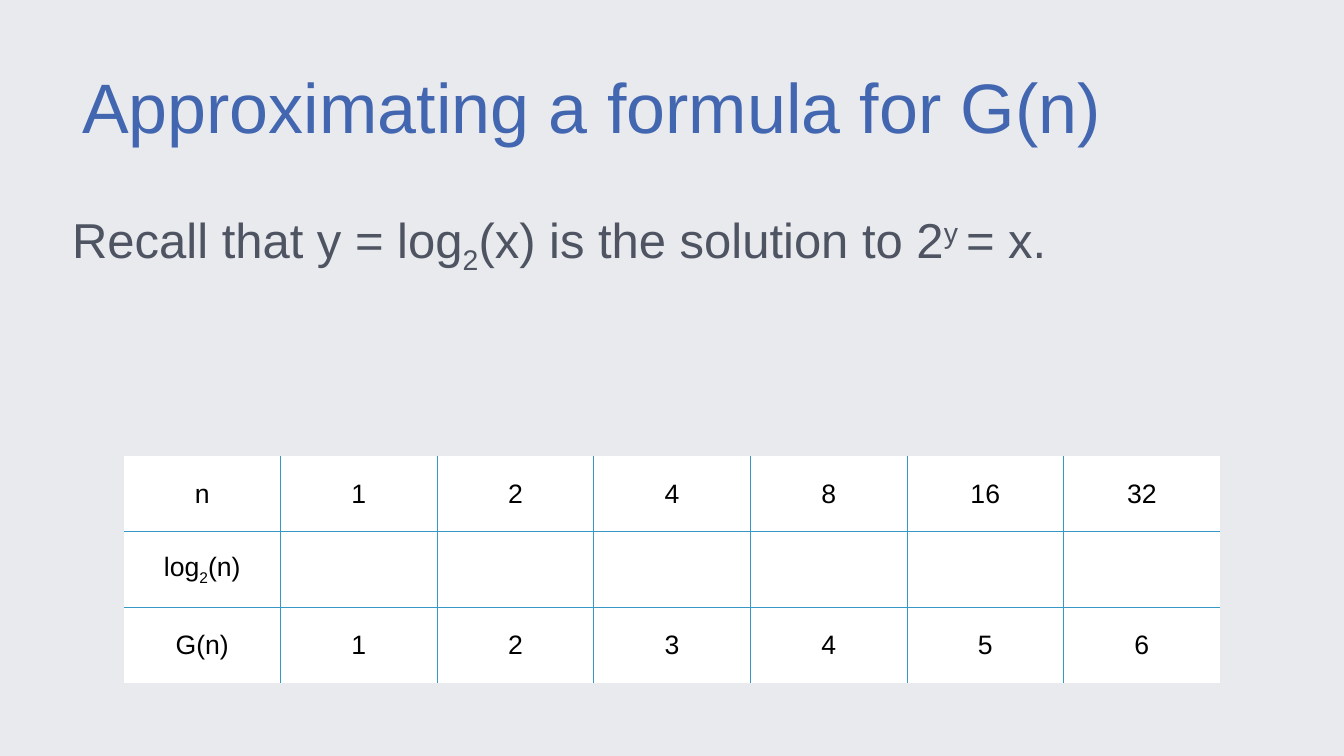
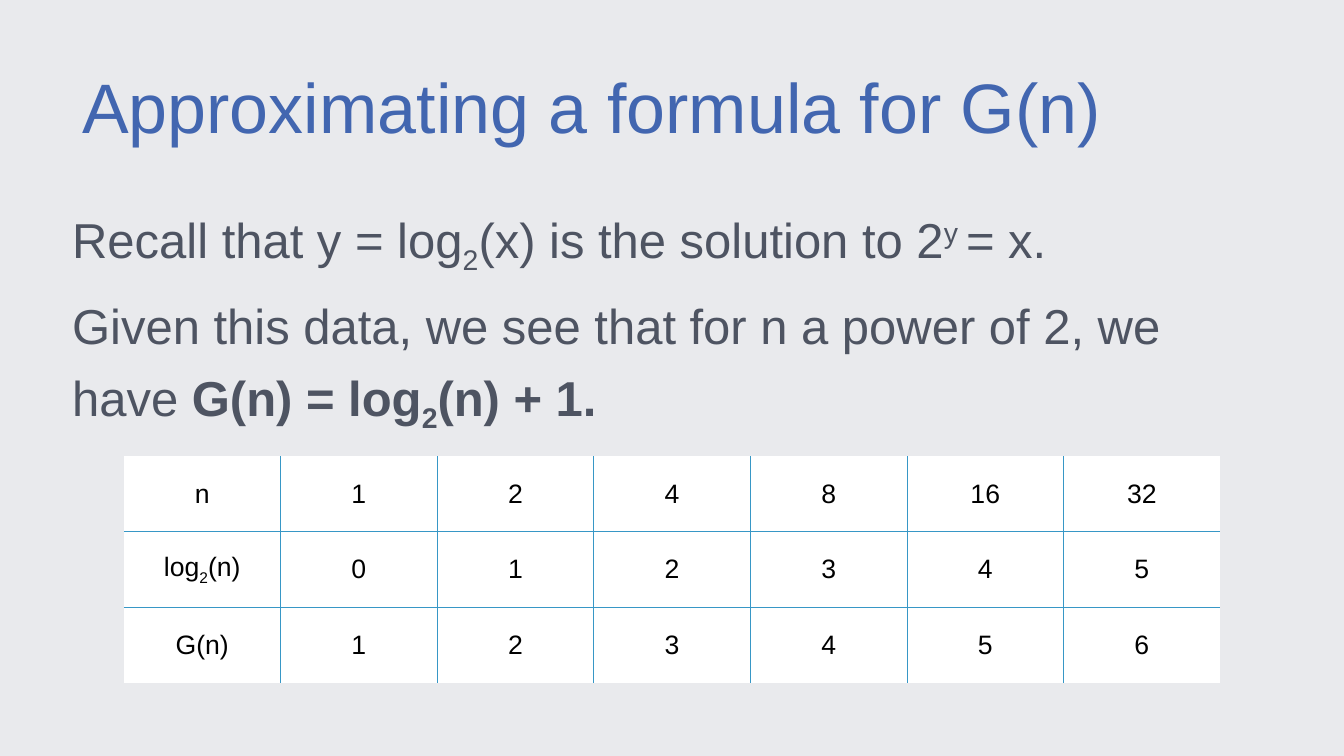
"""Two slides that relate G(n) to the base-2 logarithm."""
from dataclasses import dataclass

from lxml.etree import SubElement
from pptx import Presentation
from pptx.dml.color import RGBColor
from pptx.enum.text import MSO_ANCHOR, MSO_AUTO_SIZE, PP_ALIGN
from pptx.oxml import parse_xml
from pptx.oxml.ns import nsdecls, qn
from pptx.util import Pt

TITLE = "Approximating a formula for G(n)"
RECALL = [("Recall that y = log", ""), ("2", "sub"), ("(x) is the solution to 2", ""),
          ("y ", "super"), ("= x.", "")]
FORMULA = [("Given this data, we see that for n a power of 2, we have ", ""),
           ("G(n) = log", "bold"), ("2", "bold sub"), ("(n) + 1.", "bold")]
LOG_LABEL = [("log", ""), ("2", "sub"), ("(n)", "")]
N_VALUES = [1, 2, 4, 8, 16, 32]
LOG_VALUES = [0, 1, 2, 3, 4, 5]
G_VALUES = [1, 2, 3, 4, 5, 6]

SLIDES = [
    {"body": [RECALL], "height": 101.5, "logs": [""] * len(N_VALUES)},
    {"body": [RECALL, FORMULA], "height": 305.3, "logs": LOG_VALUES},
]


@dataclass(frozen=True)
class Theme:
    font: str = "Arial"
    background: str = "E9EAED"
    title: str = "4266B0"
    body: str = "4E5462"
    cell_text: str = "000000"
    cell_fill: str = "FFFFFF"
    grid: str = "3797C6"
    title_size: int = 100
    body_size: int = 70
    cell_size: int = 38
    space_before: int = 10


T = Theme()
SLIDE_SIZE = (1920, 1080)
TITLE_BOX = (117.4, 114.5, 1680.5, 186.5)
BODY_LEFT, BODY_TOP, BODY_WIDTH = 103, 280, 1680.5
TABLE_BOX = (177.1, 651.6, 1566, 324)
CELL_MARGIN = 4
BASELINES = {"sub": "-25000", "super": "30000"}


def paint(fill, color):
    fill.solid()
    fill.fore_color.rgb = RGBColor.from_string(color)


def write(p, runs, size, color):
    p.font.name = T.font
    p.font.size = Pt(size)
    p.font.color.rgb = RGBColor.from_string(color)
    for text, style in runs:
        r = p.add_run()
        r.text = text
        for word in style.split():
            if word == "bold":
                r.font.bold = True
            else:
                r.font._element.set("baseline", BASELINES[word])


def fill_text(sp, paragraphs, size, color, spacing):
    tf = sp.text_frame
    tf.word_wrap = True
    tf.auto_size = MSO_AUTO_SIZE.SHAPE_TO_FIT_TEXT
    tf.vertical_anchor = MSO_ANCHOR.TOP
    tf.margin_left = tf.margin_right = tf.margin_top = tf.margin_bottom = 0
    for i, runs in enumerate(paragraphs):
        p = tf.add_paragraph() if i else tf.paragraphs[0]
        p.alignment = PP_ALIGN.LEFT
        p.line_spacing = spacing
        p.space_before = Pt(T.space_before)
        write(p, runs, size, color)


def set_borders(cell, inner_sides):
    tcPr = cell._tc.get_or_add_tcPr()
    for i, side in enumerate(("lnL", "lnR", "lnT", "lnB")):
        ln = parse_xml(f'<a:{side} {nsdecls("a")} w="{Pt(1)}"/>')
        if side in inner_sides:
            SubElement(SubElement(ln, qn("a:solidFill")), qn("a:srgbClr"), val=T.grid)
        else:
            SubElement(ln, qn("a:noFill"))
        tcPr.insert(i, ln)


def add_value_table(s, rows):
    n_rows, n_cols = len(rows), len(rows[0])
    left, top, width, height = TABLE_BOX
    table = s.shapes.add_table(n_rows, n_cols, *map(Pt, TABLE_BOX)).table
    table.first_row = table.horz_banding = False
    for col in table.columns:
        col.width = Pt(width / n_cols)
    for row in table.rows:
        row.height = Pt(height / n_rows)
    for i, values in enumerate(rows):
        for j, value in enumerate(values):
            cell = table.cell(i, j)
            cell.vertical_anchor = MSO_ANCHOR.MIDDLE
            cell.margin_left = cell.margin_right = Pt(CELL_MARGIN)
            cell.margin_top = cell.margin_bottom = Pt(CELL_MARGIN)
            p = cell.text_frame.paragraphs[0]
            p.alignment = PP_ALIGN.CENTER
            runs = value if isinstance(value, list) else [(str(value), "")]
            write(p, [run for run in runs if run[0]], T.cell_size, T.cell_text)
            paint(cell.fill, T.cell_fill)
            inner = {"lnL": j > 0, "lnR": j < n_cols - 1, "lnT": i > 0, "lnB": i < n_rows - 1}
            set_borders(cell, {side for side, drawn in inner.items() if drawn})


def add_slide(prs, content):
    s = prs.slides.add_slide(prs.slide_layouts[5])
    title = s.shapes.title
    title.left, title.top, title.width, title.height = map(Pt, TITLE_BOX)
    fill_text(title, [[(TITLE, "")]], T.title_size, T.title, 0.8)
    body = s.shapes.add_textbox(Pt(BODY_LEFT), Pt(BODY_TOP), Pt(BODY_WIDTH), Pt(content["height"]))
    fill_text(body, content["body"], T.body_size, T.body, 1.2)
    add_value_table(s, [["n", *N_VALUES], [LOG_LABEL, *content["logs"]], ["G(n)", *G_VALUES]])


def main():
    prs = Presentation()
    prs.slide_width, prs.slide_height = map(Pt, SLIDE_SIZE)
    paint(prs.slide_master.background.fill, T.background)
    for content in SLIDES:
        add_slide(prs, content)
    prs.save("out.pptx")


if __name__ == "__main__":
    main()
